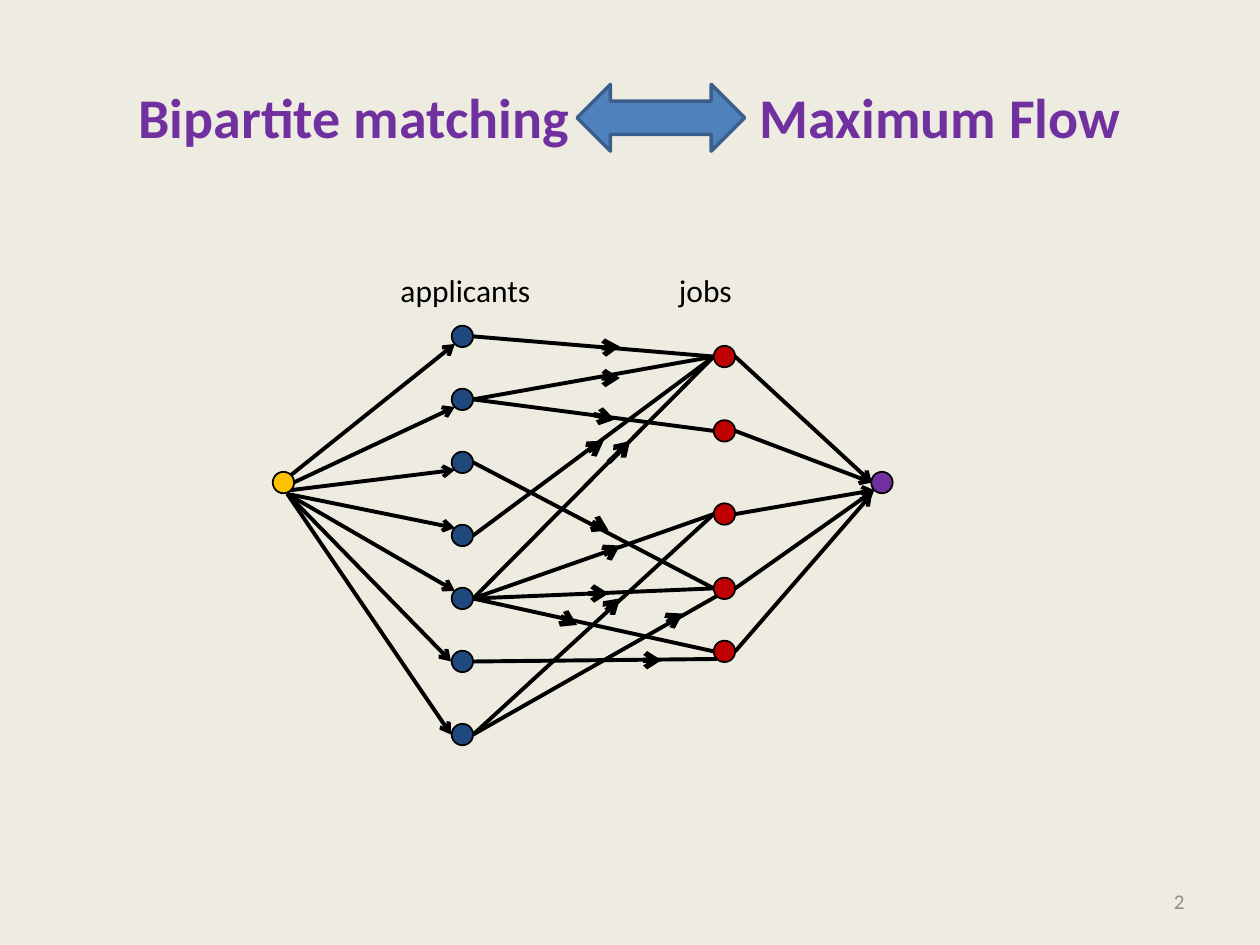
from lxml import etree
from pptx import Presentation
from pptx.dml.color import RGBColor
from pptx.enum.shapes import MSO_CONNECTOR, MSO_SHAPE
from pptx.enum.text import MSO_ANCHOR, PP_ALIGN
from pptx.oxml.ns import qn
from pptx.util import Inches, Pt

STRAIGHT = MSO_CONNECTOR.STRAIGHT
OVAL = MSO_SHAPE.OVAL
DOUBLE_ARROW = MSO_SHAPE.LEFT_RIGHT_ARROW
MIDDLE = MSO_ANCHOR.MIDDLE
LEFT, RIGHT = PP_ALIGN.LEFT, PP_ALIGN.RIGHT

BACKGROUND = RGBColor(0xEE, 0xEC, 0xE1)
PURPLE = RGBColor(0x70, 0x30, 0xA0)
RED = RGBColor(0xC0, 0x00, 0x00)
NAVY = RGBColor(0x1F, 0x49, 0x7D)
GOLD = RGBColor(0xFF, 0xC0, 0x00)
BLUE = RGBColor(0x4F, 0x81, 0xBD)
DARK_BLUE = RGBColor(0x3A, 0x5F, 0x8C)
GRAY = RGBColor(0x8C, 0x8C, 0x8C)
BLACK = RGBColor(0, 0, 0)

FONT = "Calibri"
DIAMETER = 0.17
RADIUS = DIAMETER / 2
SOURCE = (2.25, 3.83)
SINK = (7, 3.83)
APPLICANT_X, JOB_X = 3.67, 5.75
APPLICANT_YS = [2.67, 3.17, 3.67, 4.25, 4.75, 5.25, 5.83]
JOB_YS = [2.83, 3.42, 4.08, 4.67, 5.17]
RIM = 0.06

MATCHES = [(1, 1), (6, 2), (4, 3), (0, 0), (3, 0), (5, 4),
           (6, 3), (1, 0), (4, 0), (4, 2), (2, 3), (4, 4)]
LOW_ENTRIES = {(5, 4), (6, 3)}
DIRECTION_MARKS = [
    ((4.75, 4.17), (4.83, 4.21)), ((4.83, 3.67), (5, 3.5)),
    ((4.83, 4.83), (4.92, 4.75)), ((5.12, 5.24), (5.25, 5.24)),
    ((4.83, 4.38), (4.92, 4.33)), ((4.79, 2.76), (4.92, 2.75)),
    ((4.79, 3), (4.92, 3)), ((4.71, 3.29), (4.88, 3.33)),
    ((4.67, 3.58), (4.79, 3.5)), ((4.67, 4.71), (4.83, 4.71)),
    ((5.33, 4.92), (5.42, 4.87)), ((4.5, 4.92), (4.58, 4.96)),
]
SOURCE_EXITS = [(2.31, 3.77), (2.33, 3.83), (2.31, 3.89)] + [(2.28, 3.92)] * 4
APPLICANT_ENTRIES = [(3.61, RIM)] * 3 + [(3.61, -RIM)] * 2 + [(3.58, 0)] * 2
SINK_ENTRIES = [(6.92, 3.83)] * 2 + [(6.94, 3.89)] * 2 + [(6.92, 3.92)]


def style_font(paragraph, size, color, bold=False):
    """Apply the slide font to a paragraph's runs."""
    for run in paragraph.runs:
        run.font.name = FONT
        run.font.size = Pt(size)
        run.font.bold = bold
        run.font.color.rgb = color


def set_title(slide):
    """Place the two title halves on either side of the double arrow."""
    title = slide.shapes.title
    title.left, title.top = Inches(0.5), Inches(0.3)
    title.width, title.height = Inches(9), Inches(1.25)
    frame = title.text_frame
    frame.margin_left = Inches(0.6)
    frame.vertical_anchor = MIDDLE
    frame.text = "Bipartite matching\tMaximum Flow"
    paragraph = frame.paragraphs[0]
    paragraph.alignment = LEFT
    tabs = etree.SubElement(paragraph._p.get_or_add_pPr(), qn("a:tabLst"))
    etree.SubElement(tabs, qn("a:tab"), pos=str(Inches(4.93)), algn="l")
    style_font(paragraph, 32, PURPLE, bold=True)


def add_label(slide, text, box, size, color, alignment=LEFT):
    """Add a one-line text box."""
    shape = slide.shapes.add_textbox(*map(Inches, box))
    frame = shape.text_frame
    frame.word_wrap = False
    frame.vertical_anchor = MIDDLE
    frame.text = text
    frame.paragraphs[0].alignment = alignment
    style_font(frame.paragraphs[0], size, color)


def add_filled_shape(slide, kind, box, fill, line, line_width):
    """Add a preset shape with a solid fill and outline."""
    shape = slide.shapes.add_shape(kind, *map(Inches, box))
    shape.shadow.inherit = False
    shape.fill.solid()
    shape.fill.fore_color.rgb = fill
    shape.line.color.rgb = line
    shape.line.width = Pt(line_width)


def add_node(slide, center, color):
    """Add a graph node around its center."""
    x, y = center
    box = (x - RADIUS, y - RADIUS, DIAMETER, DIAMETER)
    add_filled_shape(slide, OVAL, box, color, BLACK, 1)


def add_edge(slide, start, end, width=2.25, arrow=True):
    """Add a straight black edge, optionally with an arrowhead at its end."""
    edge = slide.shapes.add_connector(STRAIGHT, *map(Inches, start + end))
    edge.line.color.rgb = BLACK
    edge.line.width = Pt(width)
    if arrow:
        etree.SubElement(edge.line._get_or_add_ln(), qn("a:tailEnd"), type="arrow")
    etree.SubElement(edge._element.spPr, qn("a:effectLst"))


def add_matching(slide):
    """Draw applicants, jobs and the edges between them."""
    for y in JOB_YS:
        add_node(slide, (JOB_X, y), RED)
    for y in APPLICANT_YS:
        add_node(slide, (APPLICANT_X, y), NAVY)
    add_label(slide, "applicants", (3.08, 2.1, 1.24, 0.4), 18, BLACK)
    add_label(slide, "jobs", (5.29, 2.1, 0.62, 0.4), 18, BLACK)
    for applicant, job in MATCHES:
        start = (APPLICANT_X + RADIUS, APPLICANT_YS[applicant])
        end = (JOB_X - RADIUS, JOB_YS[job])
        if (applicant, job) in LOW_ENTRIES:
            end = (JOB_X - RIM, JOB_YS[job] + RIM)
        add_edge(slide, start, end, arrow=False)
    for start, end in DIRECTION_MARKS:
        add_edge(slide, start, end, width=3)


def add_flow_ends(slide):
    """Draw the source and sink with their edges."""
    add_node(slide, SINK, PURPLE)
    add_node(slide, SOURCE, GOLD)
    for start, (x, offset), y in zip(SOURCE_EXITS, APPLICANT_ENTRIES, APPLICANT_YS):
        add_edge(slide, start, (x, y + offset))
    for y, end in zip(JOB_YS, SINK_ENTRIES):
        add_edge(slide, (JOB_X + RADIUS, y), end)


def main():
    """Build and save the slide."""
    presentation = Presentation()
    presentation.slide_width, presentation.slide_height = Inches(10), Inches(7.5)
    slide = presentation.slides.add_slide(presentation.slide_layouts[5])
    slide.background.fill.solid()
    slide.background.fill.fore_color.rgb = BACKGROUND
    set_title(slide)
    add_label(slide, "2", (7.17, 6.95, 2.33, 0.4), 12, GRAY, RIGHT)
    add_matching(slide)
    add_flow_ends(slide)
    add_filled_shape(slide, DOUBLE_ARROW, (4.58, 0.67, 1.33, 0.53), BLUE, DARK_BLUE, 2)
    presentation.save("out.pptx")


if __name__ == "__main__":
    main()
